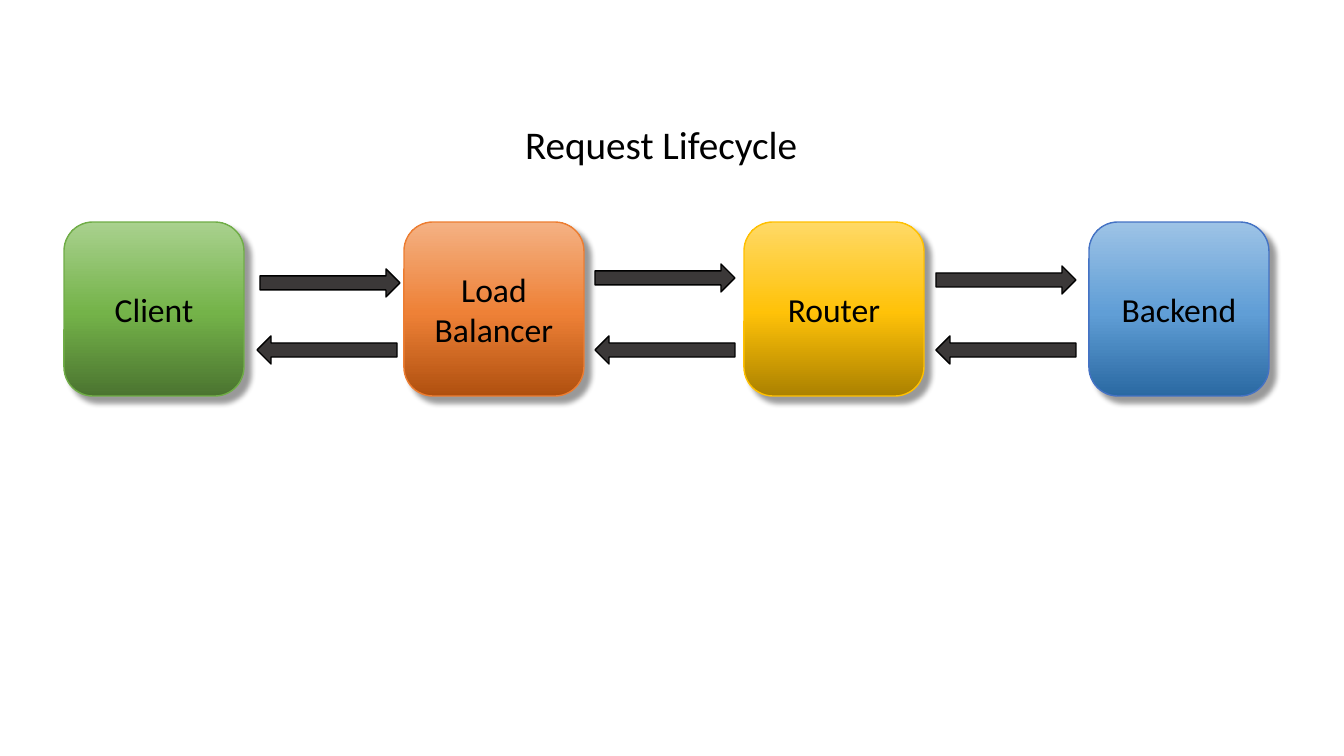
from lxml import etree
from pptx import Presentation
from pptx.dml.color import RGBColor
from pptx.enum.shapes import MSO_SHAPE
from pptx.enum.text import MSO_ANCHOR, MSO_AUTO_SIZE, PP_ALIGN
from pptx.oxml.ns import qn
from pptx.util import Pt

ROUND, ARROW = MSO_SHAPE.ROUNDED_RECTANGLE, MSO_SHAPE.RIGHT_ARROW
LEFT, CENTER = PP_ALIGN.LEFT, PP_ALIGN.CENTER
TOP, MIDDLE = MSO_ANCHOR.TOP, MSO_ANCHOR.MIDDLE
GROW = MSO_AUTO_SIZE.SHAPE_TO_FIT_TEXT

# Content
TITLE = "Request Lifecycle"
COLORS = {"text": "000000", "arrow": "3B3838", "edge": "000000", "shadow": "000000"}
# name, left, gradient from bottom to top, outline
STAGES = [
    ("Client", 64, ("4B7430", "74B349", "A9D18E"), "70AD47"),
    ("Load Balancer", 404, ("B0500F", "EE8137", "F4B183"), "ED7D31"),
    ("Router", 744, ("AB8100", "FFC208", "FFD966"), "FFC000"),
    ("Backend", 1089, ("2A69A2", "609ED6", "9DC3E6"), "4472C4"),
]
# left, top, rotation
ARROWS = [
    (260, 269, 0), (595, 264, 0), (936, 266, 0),
    (936, 336, 180), (595, 336, 180), (257, 336, 180),
]

# Layout in px
PX = 914400 / 100.8
SLIDE = (1344, 756)
HEAD = (515, 115, 297, 57)
BOX_TOP, BOX_W, BOX_H = 222, 180, 174
ARROW_W, ARROW_H = 140, 28
STOPS = (0, 48, 100)


def emu(*sizes):
    return [round(size * PX) for size in sizes]


def outline(shape, color):
    shape.line.color.rgb = RGBColor.from_string(color)
    shape.line.width = Pt(1)
    shape.shadow.inherit = False


def write(shape, text, size, align, anchor):
    frame = shape.text_frame
    frame.text = text
    frame.word_wrap = True
    frame.vertical_anchor = anchor
    para = frame.paragraphs[0]
    para.alignment = align
    para.font.size = Pt(size)
    para.font.name = "Calibri"
    para.font.color.rgb = RGBColor.from_string(COLORS["text"])


def shade(shape, tones):
    shape.fill.gradient()
    shape.fill.gradient_angle = 90
    stops = shape.element.spPr.find(qn("a:gradFill")).find(qn("a:gsLst"))
    for old in list(stops):
        stops.remove(old)
    for pos, tone in zip(STOPS, tones):
        stop = etree.SubElement(stops, qn("a:gs"), pos=str(pos * 1000))
        etree.SubElement(stop, qn("a:srgbClr"), val=tone)


def drop(shape):
    effects = shape.element.spPr.find(qn("a:effectLst"))
    outer = etree.SubElement(
        effects, qn("a:outerShdw"), blurRad=str(Pt(4)), dist=str(Pt(6)),
        dir="2700000", algn="tl", rotWithShape="0")
    color = etree.SubElement(outer, qn("a:srgbClr"), val=COLORS["shadow"])
    etree.SubElement(color, qn("a:alpha"), val="40000")


def main():
    deck = Presentation()
    deck.slide_width, deck.slide_height = emu(*SLIDE)
    slide = deck.slides.add_slide(deck.slide_layouts[5])
    shapes = slide.shapes

    # Title
    head = shapes.title
    head.left, head.top, head.width, head.height = emu(*HEAD)
    write(head, TITLE, 28, LEFT, TOP)
    head.text_frame.auto_size = GROW

    # Stages
    for name, left, tones, edge in STAGES:
        box = shapes.add_shape(ROUND, *emu(left, BOX_TOP, BOX_W, BOX_H))
        shade(box, tones)
        outline(box, edge)
        drop(box)
        write(box, name, 24, CENTER, MIDDLE)

    # Requests and responses
    for left, top, turn in ARROWS:
        arrow = shapes.add_shape(ARROW, *emu(left, top, ARROW_W, ARROW_H))
        arrow.rotation = turn
        arrow.fill.solid()
        arrow.fill.fore_color.rgb = RGBColor.from_string(COLORS["arrow"])
        outline(arrow, COLORS["edge"])

    deck.save("out.pptx")


if __name__ == "__main__":
    main()
